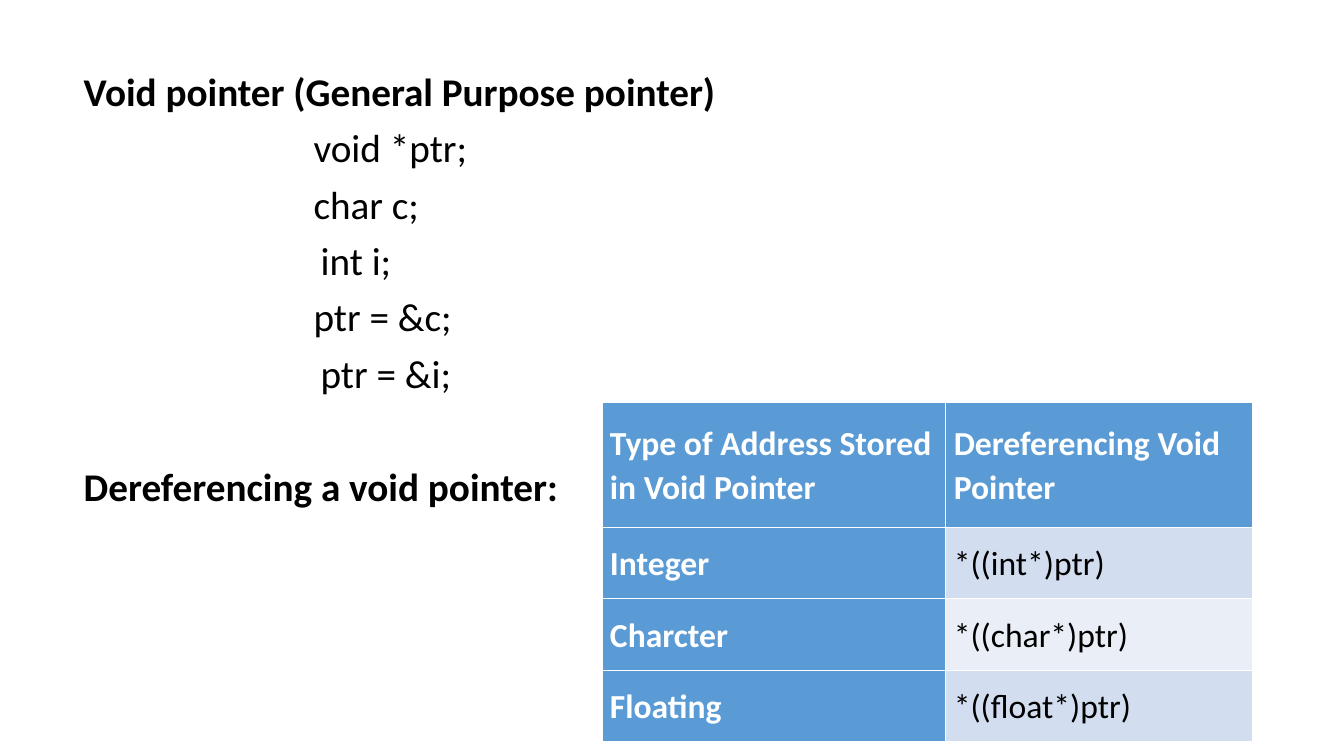
from lxml import etree
from pptx import Presentation
from pptx.dml.color import RGBColor
from pptx.enum.text import MSO_ANCHOR, MSO_AUTO_SIZE, PP_ALIGN
from pptx.oxml.ns import qn
from pptx.util import Inches, Pt

BLACK = RGBColor(0x00, 0x00, 0x00)
WHITE = RGBColor(0xFF, 0xFF, 0xFF)
BLUE = RGBColor(0x5B, 0x9B, 0xD5)
BANDS = RGBColor(0xD2, 0xDE, 0xEF), RGBColor(0xEA, 0xEF, 0xF7)
MIDDLE = MSO_ANCHOR.MIDDLE
NO_FIT = MSO_AUTO_SIZE.NONE
LEFT, JUSTIFY = PP_ALIGN.LEFT, PP_ALIGN.JUSTIFY

HEAD = {"size": Pt(28), "bold": True, "name": "Calibri"}
CODE = {**HEAD, "bold": False}
LABEL = {"size": Pt(24), "bold": True, "name": "Calibri"}
VALUE = {**LABEL, "bold": False}

LINES = [
    ("Void pointer (General Purpose pointer)", HEAD, 0, 0),
    ("void *ptr;", CODE, 2.28, 10),
    ("char c;", CODE, 2.28, 10),
    ("int i;", CODE, 2.35, 10),
    ("ptr = &c;", CODE, 2.28, 10),
    ("ptr = &i;", CODE, 2.35, 10),
    ("Dereferencing a void pointer:", HEAD, 0, 51),
]
ROWS = [
    ("Type of Address Stored in Void Pointer", "Dereferencing Void Pointer"),
    ("Integer", "*((int*)ptr)"),
    ("Charcter", "*((char*)ptr)"),
    ("Floating", "*((float*)ptr)"),
]


def apply(thing, style):
    """Set each attribute in a dict of format values."""
    for key, value in style.items():
        setattr(thing, key, value)


def write(para, text, font, color, style):
    """Fill a paragraph with one formatted run."""
    apply(para, style)
    run = para.add_run()
    run.text = text
    apply(run.font, font)
    run.font.color.rgb = color


def add_notes(slide, left, top, width, height):
    """Place the headings and code lines in the body placeholder."""
    body = slide.placeholders[1]
    apply(body, {"left": Inches(left), "top": Inches(top),
                 "width": Inches(width), "height": Inches(height)})
    frame = body.text_frame
    apply(frame, {"auto_size": NO_FIT, "word_wrap": True,
                  "margin_top": Inches(0.62)})
    for i, (text, font, indent, gap) in enumerate(LINES):
        para = frame.add_paragraph() if i else frame.paragraphs[0]
        write(para, text, font, BLACK,
              {"line_spacing": 0.9, "space_before": Pt(gap)})
        props = para._p.get_or_add_pPr()
        props.set("marL", str(Inches(indent)))
        props.set("indent", "0")
        etree.SubElement(props, qn("a:buNone"))


def add_types(slide, left, top, widths, heights):
    """Place the table of stored types and their casts."""
    table = slide.shapes.add_table(
        len(heights), len(widths), Inches(left), Inches(top),
        Inches(sum(widths)), Inches(sum(heights))).table
    table.first_col = True
    for col, width in zip(table.columns, widths):
        col.width = Inches(width)
    for row, height in zip(table.rows, heights):
        row.height = Inches(height)
    pad = {f"margin_{side}": Inches(0.08)
           for side in ("left", "top", "right", "bottom")}
    for r, row in enumerate(ROWS):
        for c, text in enumerate(row):
            cell = table.cell(r, c)
            label = r == 0 or c == 0
            apply(cell, {**pad, "vertical_anchor": MIDDLE})
            cell.fill.solid()
            cell.fill.fore_color.rgb = BLUE if label else BANDS[(r - 1) % 2]
            write(cell.text_frame.paragraphs[0], text,
                  LABEL if label else VALUE, WHITE if label else BLACK,
                  {"line_spacing": 1.07, "alignment": JUSTIFY if r else LEFT})


def main():
    """Build and save the void pointer slide."""
    deck = Presentation()
    apply(deck, {"slide_width": Inches(13.33), "slide_height": Inches(7.5)})
    slide = deck.slides.add_slide(deck.slide_layouts[1])
    title = slide.shapes.title.element
    title.getparent().remove(title)
    add_notes(slide, 0.73, 0.1, 11.69, 6.65)
    add_types(slide, 5.97, 3.99, [3.41, 3.04], [1.24] + [0.71] * 3)
    deck.save("out.pptx")


if __name__ == "__main__":
    main()
